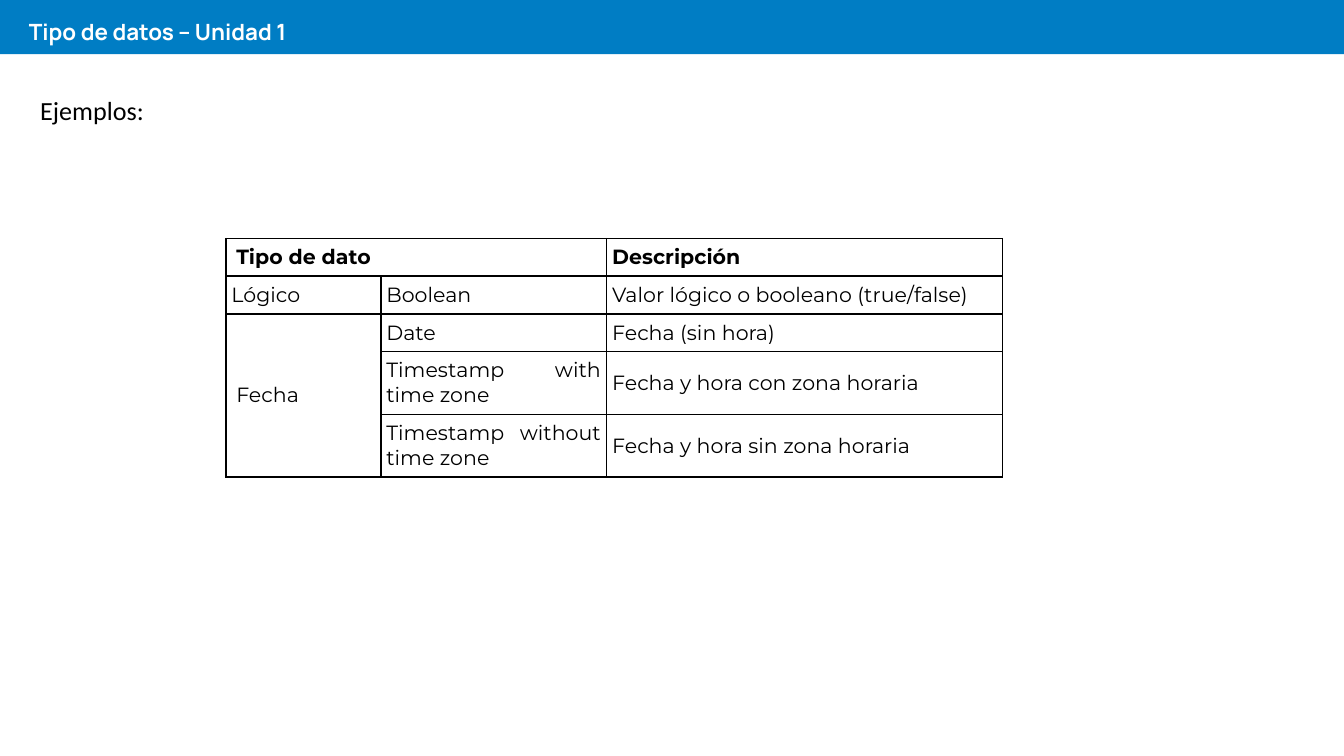
from lxml.etree import SubElement
from pptx import Presentation
from pptx.dml.color import RGBColor
from pptx.enum.shapes import MSO_SHAPE as Shape
from pptx.enum.text import MSO_ANCHOR as Anchor, PP_ALIGN as Align
from pptx.oxml.ns import qn
from pptx.util import Pt


def color(code):
    return RGBColor.from_string(code)


def write(frame, text, font="Montserrat", size=11, ink="000000", bold=False,
          align=Align.LEFT, spacing=None):
    para = frame.paragraphs[0]
    para.alignment = align
    if spacing:
        para.line_spacing = spacing
    span = para.add_run()
    span.text = text
    span.font.name = font
    span.font.size = Pt(size)
    span.font.bold = bold
    span.font.color.rgb = color(ink)


def set_margins(holder, side, edge):
    holder.margin_left = holder.margin_right = Pt(side)
    holder.margin_top = holder.margin_bottom = Pt(edge)


class SlideBuilder:
    blue, white, black = "007DC4", "FFFFFF", "000000"
    border_width = 1

    def __init__(self, page):
        self.page = page

    def band(self, left, top, width, height):
        bar = self.page.shapes.add_shape(
            Shape.RECTANGLE, Pt(left), Pt(top), Pt(width), Pt(height))
        bar.shadow.inherit = False
        bar.fill.solid()
        bar.fill.fore_color.rgb = color(self.blue)
        bar.line.fill.background()

    def label(self, text, left, top, width, height, side=5, anchor=Anchor.TOP, **style):
        box = self.page.shapes.add_textbox(Pt(left), Pt(top), Pt(width), Pt(height))
        frame = box.text_frame
        frame.word_wrap = True
        frame.vertical_anchor = anchor
        set_margins(frame, side, 2.9)
        write(frame, text, **style)

    def outline(self, cell):
        properties = cell._tc.get_or_add_tcPr()
        for side in ("lnL", "lnR", "lnT", "lnB"):
            line = SubElement(properties, qn(f"a:{side}"), w=str(Pt(self.border_width)))
            fill = SubElement(line, qn("a:solidFill"))
            SubElement(fill, qn("a:srgbClr"), val=self.black)

    def table(self, rows, left, top, widths, heights, merges):
        """Draw the rows; merges maps a starting cell to its last cell."""
        frame = self.page.shapes.add_table(
            len(rows), len(widths), Pt(left), Pt(top), Pt(sum(widths)), Pt(sum(heights)))
        table = frame.table
        for column, width in zip(table.columns, widths):
            column.width = Pt(width)
        for row, height in zip(table.rows, heights):
            row.height = Pt(height)
        for start, end in merges.items():
            table.cell(*start).merge(table.cell(*end))
        for r, texts in enumerate(rows):
            for c, text in enumerate(texts):
                cell = table.cell(r, c)
                self.outline(cell)
                cell.fill.solid()
                cell.fill.fore_color.rgb = color(self.white)
                cell.vertical_anchor = Anchor.MIDDLE
                set_margins(cell, 5.6 if (r, c) in merges else 3, 3.4)
                if text:
                    write(cell.text_frame, text, bold=r == 0, align=Align.JUSTIFY)


def main():
    deck = Presentation()
    deck.slide_width, deck.slide_height = Pt(720), Pt(405)
    slide = SlideBuilder(deck.slides.add_slide(deck.slide_layouts[6]))

    slide.band(0, 0, 720, 29)
    slide.label("Tipo de datos – Unidad 1", 8, 3.5, 424, 29, side=7.5, anchor=Anchor.MIDDLE,
                font="Manrope", size=12, ink=slide.white, bold=True, spacing=0.9)
    rows = [
        ("Tipo de dato", "", "Descripción"),
        ("Lógico", "Boolean", "Valor lógico o booleano (true/false)"),
        ("Fecha", "Date", "Fecha (sin hora)"),
        ("", "Timestamp with time zone", "Fecha y hora con zona horaria"),
        ("", "Timestamp without time zone", "Fecha y hora sin zona horaria"),
    ]
    slide.table(rows, 121, 127.8, widths=(83, 121, 212), heights=[20.2] * 3 + [33.6] * 2,
                merges={(0, 0): (0, 1), (2, 0): (4, 0)})
    slide.label("Ejemplos:", 16.5, 47.5, 76, 22, font="Calibri", size=14)
    deck.save("out.pptx")


if __name__ == "__main__":
    main()
